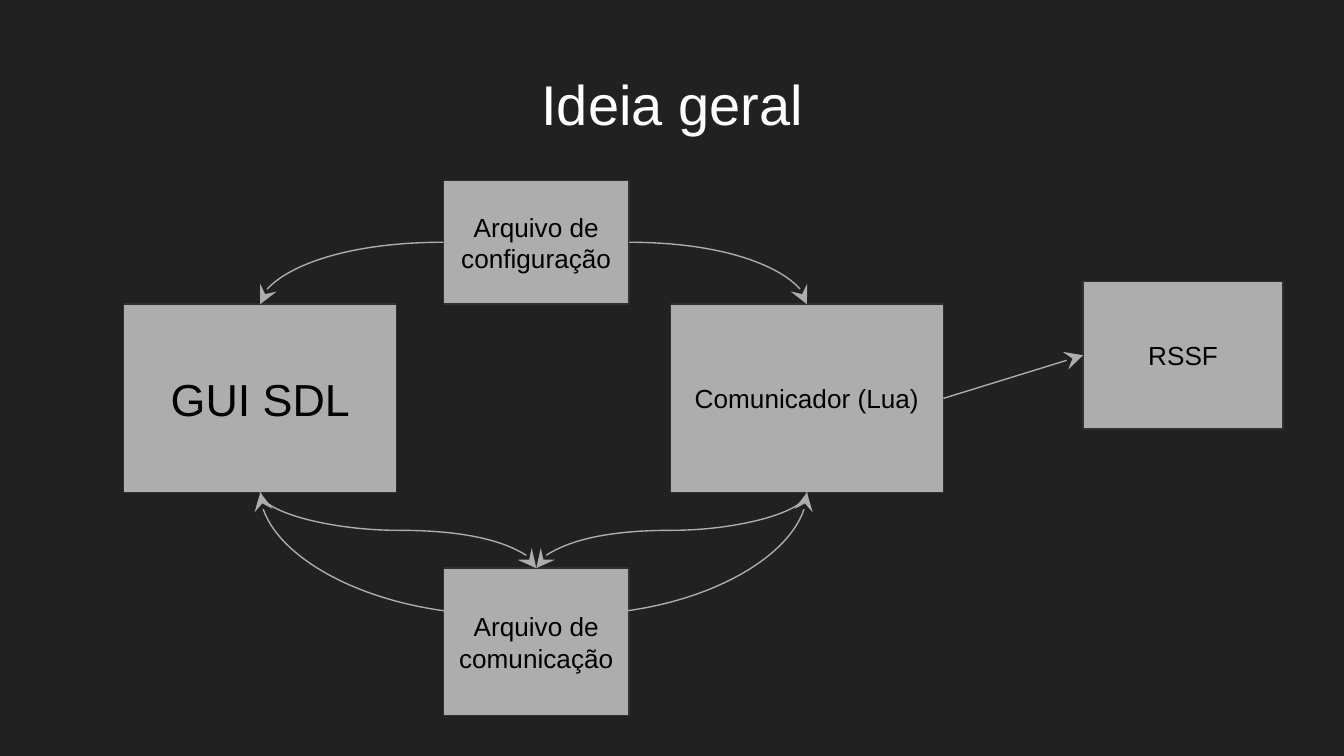
from lxml.etree import SubElement as Sub
from pptx import Presentation
from pptx.dml.color import RGBColor
from pptx.enum.shapes import MSO_CONNECTOR as Link, MSO_SHAPE as Form
from pptx.enum.text import MSO_ANCHOR as Anchor, PP_ALIGN as Align
from pptx.oxml.ns import qn
from pptx.util import Cm, Pt

DARK = RGBColor(0x21, 0x21, 0x21)
GREY = RGBColor(0xAD, 0xAD, 0xAD)
EDGE = RGBColor(0x30, 0x30, 0x30)
BLACK = RGBColor(0, 0, 0)
WHITE = RGBColor(0xFF, 0xFF, 0xFF)

PAD = Cm(0.25)
FRAME = dict(word_wrap=True, margin_left=PAD, margin_right=PAD,
             margin_top=PAD, margin_bottom=PAD)


def apply(item, form):
    """Set each format value on the item."""
    for name, value in form.items():
        setattr(item, name, value)


def write(shape, text, size, color, anchor):
    """Put one centred paragraph into the shape."""
    frame = shape.text_frame
    apply(frame, dict(FRAME, vertical_anchor=anchor))
    para = frame.paragraphs[0]
    para.alignment = Align.CENTER
    run = para.add_run()
    run.text = text
    apply(run.font, dict(name="Arial", size=Pt(size)))
    run.font.color.rgb = color


def block(slide, box, text, size=14):
    """Draw a labelled grey rectangle."""
    shape = slide.shapes.add_shape(Form.RECTANGLE, *map(Cm, box))
    shape.shadow.inherit = False
    shape.fill.solid()
    shape.fill.fore_color.rgb = GREY
    shape.line.color.rgb = EDGE
    shape.line.width = Pt(0.75)
    write(shape, text, size, BLACK, Anchor.MIDDLE)
    return shape


def arrow(slide, kind, start, end):
    """Draw a thin grey connector with a stealth head."""
    link = slide.shapes.add_connector(kind, *map(Cm, start + end))
    link.line.color.rgb = GREY
    link.line.width = Pt(0.75)
    Sub(link.line._get_or_add_ln(), qn("a:tailEnd"), type="stealth", w="lg", len="lg")
    Sub(link._element.spPr, qn("a:effectLst"))
    return link


def bend(slide, start, end):
    """Draw a quarter curve that leaves sideways and arrives upright."""
    link = arrow(slide, Link.CURVE, start, end)
    link._element.spPr.find(qn("a:prstGeom")).set("prst", "curvedConnector2")


def wave(slide, start, end):
    """Draw an S curve that leaves and arrives going down."""
    (x1, y1), (x2, y2) = start, end
    midx, midy = (x1 + x2) / 2, (y1 + y2) / 2
    sign = 1 if x2 < x1 else -1
    dx, dy = sign * (y2 - y1) / 2, abs(x2 - x1) / 2
    link = arrow(slide, Link.CURVE, (midx - dx, midy - dy), (midx + dx, midy + dy))
    turn = 90 if sign > 0 else 270
    link._element.spPr.find(qn("a:xfrm")).set("rot", str(turn * 60000))


def heading(slide, box, text):
    """Place the slide title."""
    write(slide.shapes.add_textbox(*map(Cm, box)), text, 30, WHITE, Anchor.TOP)


def diagram(slide, box):
    """Place the blocks and the arrows between them."""
    left, top, width, height = box
    big, small = (5.16, 3.56), (3.51, 2.79)
    row, mid = top + 2.34, left + 6.04
    base = top + height - small[1]
    axis = mid + small[0] / 2
    gui = block(slide, (left, row, *big), "GUI SDL", 24)
    lua = block(slide, (left + 10.33, row, *big), "Comunicador (Lua)")
    net = block(slide, (left + width - 3.78, top + 1.91, 3.78, 2.79), "RSSF")
    block(slide, (mid, base, *small), "Arquivo de comunicação")
    block(slide, (mid, top, small[0], 2.34), "Arquivo de configuração")

    link = arrow(slide, Link.STRAIGHT, (0, 0), (1, 1))
    link.begin_connect(lua, 3)
    link.end_connect(net, 1)
    for node, side in (gui, -1), (lua, 1):
        x = node.left.cm + big[0] / 2
        low = (x, row + big[1])
        bend(slide, (axis + side * small[0] / 2, top + 1.17), (x, row))
        wave(slide, low, (axis, base))
        bend(slide, (axis + side * 0.66, base + 0.88), low)


def main():
    """Build and save the slide."""
    deck = Presentation()
    apply(deck, dict(slide_width=Cm(25.4), slide_height=Cm(14.29)))
    slide = deck.slides.add_slide(deck.slide_layouts[6])
    slide.background.fill.solid()
    slide.background.fill.fore_color.rgb = DARK
    heading(slide, (0.87, 1.07, 23.67, 1.6), "Ideia geral")
    diagram(slide, (2.34, 3.41, 21.91, 10.12))
    deck.save("out.pptx")


if __name__ == "__main__":
    main()
